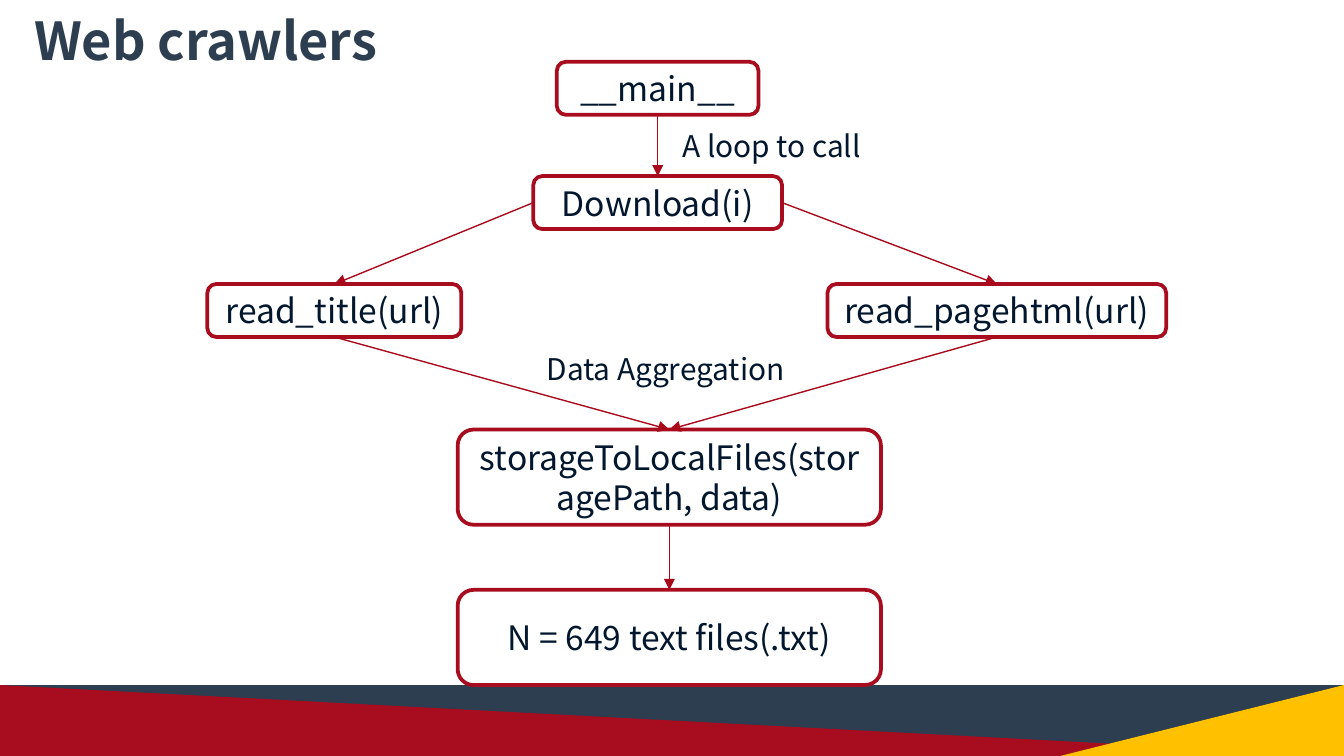
from dataclasses import dataclass

from lxml.etree import SubElement
from pptx import Presentation
from pptx.dml.color import RGBColor
from pptx.enum.shapes import MSO_CONNECTOR as Link, MSO_SHAPE as Shape
from pptx.enum.text import MSO_ANCHOR as Anchor, MSO_AUTO_SIZE as Fit, PP_ALIGN as Align
from pptx.oxml.ns import qn
from pptx.slide import Slide
from pptx.util import Cm, Pt

WIDE, HIGH = 25.4, 14.29
TOP, LEFT, BOTTOM, RIGHT = range(4)


def color(code):
    return RGBColor.from_string(code)


@dataclass
class Chart:
    """Draws the parts of a flow chart on one slide in one style."""

    slide: Slide
    font: str = "Noto Sans CJK SC"
    ink: str = "02172D"
    navy: str = "2C3E50"
    red: str = "A80D1F"
    wire: str = "A8091B"
    gold: str = "FFC000"

    def words(self, frame, text, size, ink, align, bold=False):
        frame.word_wrap = True
        line = frame.paragraphs[0]
        line.alignment = align
        run = line.add_run()
        run.text = text
        run.font.name = self.font
        run.font.size = Pt(size)
        run.font.bold = bold
        run.font.color.rgb = color(ink)

    def title(self, text, left, top, width, height):
        box = self.slide.shapes.add_textbox(Cm(left), Cm(top), Cm(width), Cm(height))
        frame = box.text_frame
        frame.vertical_anchor = Anchor.MIDDLE
        frame.margin_left = frame.margin_right = Cm(0.18)
        frame.margin_top = frame.margin_bottom = Cm(0.1)
        self.words(frame, text, 28, self.navy, Align.CENTER, True)

    def label(self, text, left, top, width):
        box = self.slide.shapes.add_textbox(Cm(left), Cm(top), Cm(width), Cm(0.94))
        box.text_frame.auto_size = Fit.SHAPE_TO_FIT_TEXT
        self.words(box.text_frame, text, 16, self.ink, Align.LEFT)

    def band(self, kind, fill, width=WIDE, flip=False):
        top = 12.95
        part = self.slide.shapes.add_shape(
            kind, Cm(WIDE - width), Cm(top), Cm(width), Cm(HIGH - top))
        part.shadow.inherit = False
        part.fill.solid()
        part.fill.fore_color.rgb = color(fill)
        part.line.fill.background()
        if flip:
            part._element.spPr.get_or_add_xfrm().set("flipH", "1")

    def node(self, text, mid, top, width, height=1.0):
        box = self.slide.shapes.add_shape(
            Shape.ROUNDED_RECTANGLE, Cm(mid - width / 2), Cm(top), Cm(width), Cm(height))
        box.shadow.inherit = False
        box.fill.background()
        box.line.color.rgb = color(self.red)
        box.line.width = Pt(2)
        box.text_frame.vertical_anchor = Anchor.MIDDLE
        self.words(box.text_frame, text, 18, self.ink, Align.CENTER)
        return box

    def arrow(self, start, end, side=BOTTOM):
        link = self.slide.shapes.add_connector(Link.STRAIGHT, 0, 0, 0, 0)
        link.begin_connect(start, side)
        link.end_connect(end, TOP)
        link.line.color.rgb = color(self.wire)
        link.line.width = Pt(0.75)
        SubElement(link.line._get_or_add_ln(), qn("a:tailEnd"), type="triangle")
        SubElement(link._element.spPr, qn("a:effectLst"))


def main():
    deck = Presentation()
    deck.slide_width, deck.slide_height = Cm(WIDE), Cm(HIGH)
    chart = Chart(deck.slides.add_slide(deck.slide_layouts[6]))

    chart.title("Web crawlers", -2.11, 0, 11.99, 1.5)
    chart.band(Shape.RECTANGLE, chart.navy)
    chart.band(Shape.RIGHT_TRIANGLE, chart.red)
    chart.band(Shape.RIGHT_TRIANGLE, chart.gold, 5.36, True)

    start = chart.node("__main__", 12.43, 1.17, 3.81)
    load = chart.node("Download(i)", 12.43, 3.33, 4.7)
    head = chart.node("read_title(url)", 6.32, 5.37, 4.8)
    page = chart.node("read_pagehtml(url)", 18.84, 5.37, 6.4)
    store = chart.node("storageToLocalFiles(storagePath, data)", 12.65, 8.12, 8, 1.8)
    files = chart.node("N = 649 text files(.txt)", 12.65, 11.15, 8, 1.8)

    chart.arrow(start, load)
    for side, reader in ((LEFT, head), (RIGHT, page)):
        chart.arrow(load, reader, side)
        chart.arrow(reader, store)
    chart.arrow(store, files)

    chart.label("A loop to call", 12.65, 2.29, 5.23)
    chart.label("Data Aggregation", 10.08, 6.5, 5.72)
    deck.save("out.pptx")


if __name__ == "__main__":
    main()
